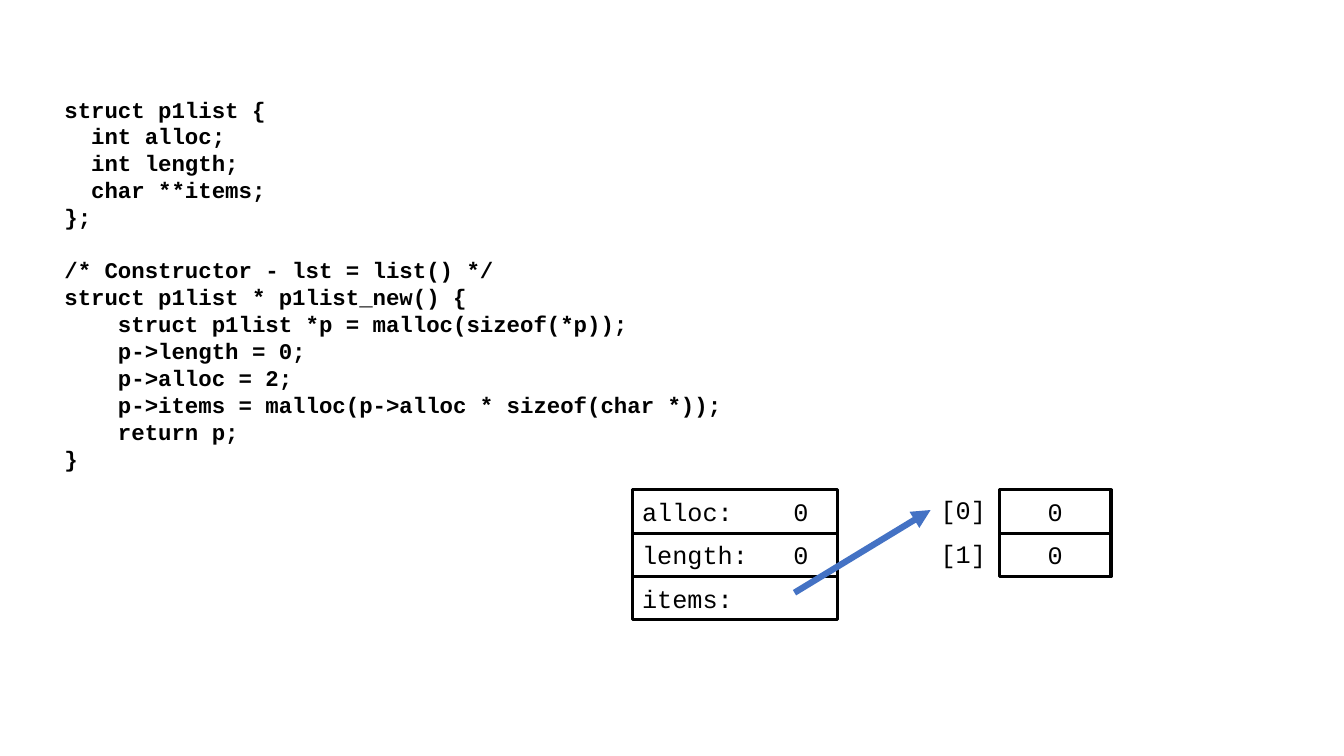
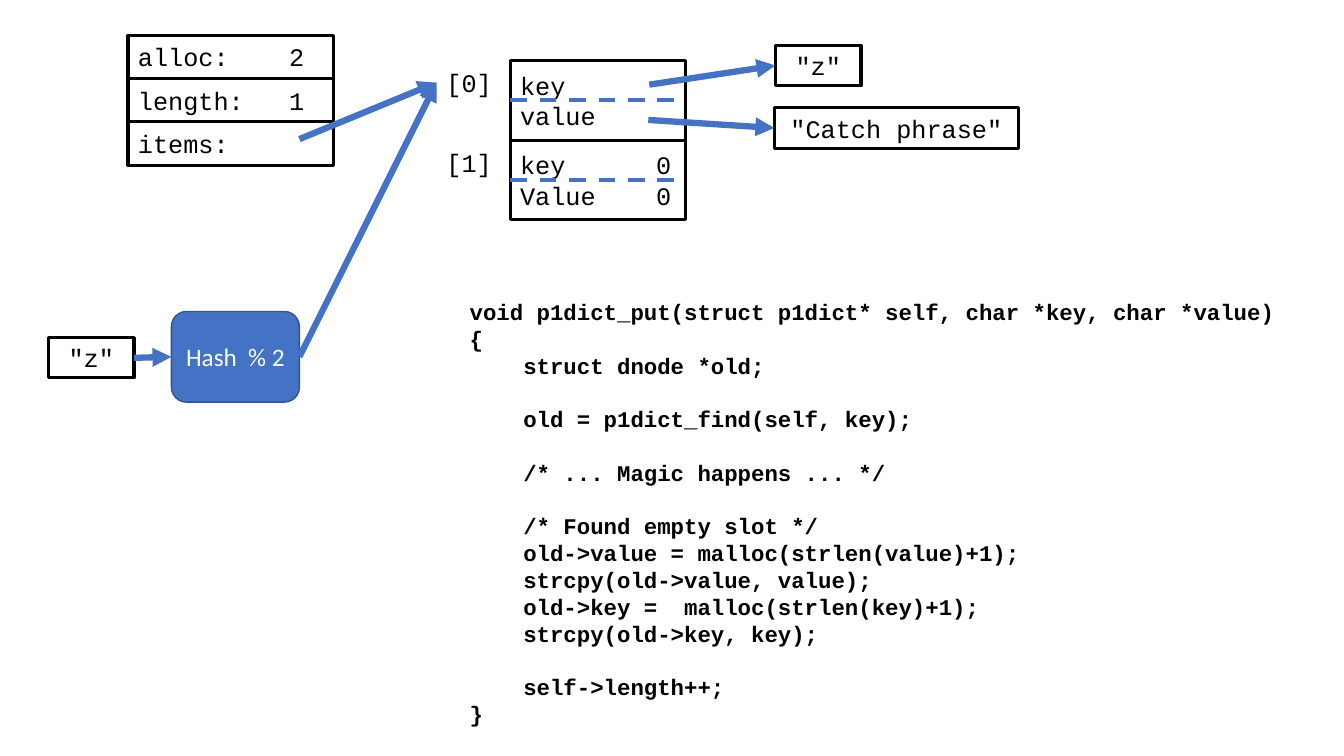
"""Build two slides on how a C list and a C dictionary are laid out in memory."""
from lxml.etree import SubElement
from pptx import Presentation
from pptx.dml.color import RGBColor
from pptx.enum.dml import MSO_LINE
from pptx.enum.shapes import MSO_CONNECTOR, MSO_SHAPE
from pptx.enum.text import MSO_ANCHOR, MSO_AUTO_SIZE, PP_ALIGN
from pptx.oxml.ns import qn
from pptx.util import Emu, Pt

PX = 9144
COLORS = {"ink": "000000", "accent": "4472C4", "edge": "325491", "white": "FFFFFF"}
MONO, SANS = "Courier New", "Calibri"
LEFT, RIGHT = 1, 3
CHAR = 15
LABEL_W, LABEL_H = 111, 40
RECORD_W, FIELD_H = 204, 43
NODE_W, NODE_H = 174, 79
CODE_SIZE, DATA_SIZE, CODE_GAP = 16, 18, 19

LIST_CODE = [
    [
        "struct p1list {",
        "  int alloc;",
        "  int length;",
        "  char **items;",
        "};",
    ],
    [
        "/* Constructor - lst = list() */",
        "struct p1list * p1list_new() {",
        "    struct p1list *p = malloc(sizeof(*p));",
        "    p->length = 0;",
        "    p->alloc = 2;",
        "    p->items = malloc(p->alloc * sizeof(char *));",
        "    return p;",
        "}",
    ],
]
PUT_CODE = [
    [
        "void p1dict_put(struct p1dict* self, char *key, char *value)",
        "{",
        "    struct dnode *old;",
    ],
    ["    old = p1dict_find(self, key);"],
    ["    /* ... Magic happens ... */"],
    [
        "    /* Found empty slot */",
        "    old->value = malloc(strlen(value)+1);",
        "    strcpy(old->value, value);",
        "    old->key =  malloc(strlen(key)+1);",
        "    strcpy(old->key, key);",
    ],
    [
        "    self->length++;",
        "}",
    ],
]
LIST_FIELDS = ["alloc:\t0", "length:\t0", "items:"]
LIST_ITEMS = ["0", "0"]
DICT_FIELDS = ["alloc:\t2", "length:\t1", "items:"]
DICT_NODES = [["key", "value"], ["key\t0", "Value\t0"]]
KEY, PHRASE, HASH = '"z"', '"Catch phrase"', "Hash  % 2"


def color(name):
    return RGBColor.from_string(COLORS[name])


def px(*lengths):
    return [Emu(length * PX) for length in lengths]


def write(paragraph, text, size, font=MONO, ink="ink", bold=False):
    run = paragraph.add_run()
    run.text = text
    run.font.size, run.font.name, run.font.bold = Pt(size), font, bold
    run.font.color.rgb = color(ink)


def fill_lines(frame, lines, align, tab=None, **style):
    for index, line in enumerate(lines):
        paragraph = frame.add_paragraph() if index else frame.paragraphs[0]
        if tab:
            stops = SubElement(paragraph._p.get_or_add_pPr(), qn("a:tabLst"))
            SubElement(stops, qn("a:tab"), pos=str(tab * PX), algn="r")
        paragraph.alignment = align
        write(paragraph, line, DATA_SIZE, **style)


def add_box(slide, at, lines, align=PP_ALIGN.CENTER, tab=None):
    box = slide.shapes.add_shape(MSO_SHAPE.RECTANGLE, *px(*at))
    box.shadow.inherit = False
    box.fill.background()
    box.line.color.rgb, box.line.width = color("ink"), Pt(2.25)
    box.text_frame.vertical_anchor = MSO_ANCHOR.MIDDLE
    fill_lines(box.text_frame, lines, align, tab)
    return box


def add_hash(slide, at):
    step = slide.shapes.add_shape(MSO_SHAPE.ROUNDED_RECTANGLE, *px(*at))
    step.shadow.inherit = False
    step.fill.solid()
    step.fill.fore_color.rgb = color("accent")
    step.line.color.rgb, step.line.width = color("edge"), Pt(1)
    step.text_frame.vertical_anchor = MSO_ANCHOR.MIDDLE
    fill_lines(step.text_frame, [HASH], PP_ALIGN.CENTER, font=SANS, ink="white")
    return step


def add_text(slide, at):
    holder = slide.shapes.add_textbox(*px(*at))
    holder.text_frame.word_wrap = True
    holder.text_frame.auto_size = MSO_AUTO_SIZE.SHAPE_TO_FIT_TEXT
    return holder


def add_label(slide, left, top, index):
    label = add_text(slide, (left, top, LABEL_W, LABEL_H))
    write(label.text_frame.paragraphs[0], f"[{index}]", DATA_SIZE)
    return label


def add_code(slide, at, blocks):
    frame = add_text(slide, at).text_frame
    paragraph = None
    for block in blocks:
        for index, line in enumerate(block):
            first = paragraph is None
            paragraph = frame.paragraphs[0] if first else frame.add_paragraph()
            if index == 0 and not first:
                paragraph.space_before = Pt(CODE_GAP)
            write(paragraph, line, CODE_SIZE, bold=True)


def add_record(slide, left, top, fields):
    for row, field in enumerate(fields):
        add_box(slide, (left, top + row * FIELD_H, RECORD_W, FIELD_H),
                [field], PP_ALIGN.LEFT, 11 * CHAR)


def add_link(slide, start, end, width=4.5, dashed=False):
    """Draw a line; each end is a point or a (shape, side) pair."""
    link = slide.shapes.add_connector(MSO_CONNECTOR.STRAIGHT, 0, 0, 0, 0)
    if isinstance(start[0], int):
        link.begin_x, link.begin_y = px(*start)
    else:
        link.begin_connect(*start)
    link.end_connect(*end)
    link.line.color.rgb, link.line.width = color("accent"), Pt(width)
    if dashed:
        link.line.dash_style = MSO_LINE.DASH
    else:
        SubElement(link.line._get_or_add_ln(), qn("a:tailEnd"), type="triangle")
    SubElement(link._element.spPr, qn("a:effectLst"))


def build_list(slide):
    top = 486
    add_code(slide, (54, 90, 818, 387), LIST_CODE)
    add_record(slide, 627, top, LIST_FIELDS)
    labels = []
    for index, item in enumerate(LIST_ITEMS):
        row_top = top + index * FIELD_H
        add_box(slide, (991, row_top, 111, FIELD_H), [item])
        labels.append(add_label(slide, 923, row_top, index))
    add_link(slide, (788, 588), (labels[0], LEFT))


def build_dict(slide):
    top = 60
    add_record(slide, 127, 35, DICT_FIELDS)
    labels = []
    for index, node in enumerate(DICT_NODES):
        row_top = top + index * NODE_H
        entry = add_box(slide, (506, row_top, NODE_W, NODE_H), node,
                        PP_ALIGN.LEFT, 10 * CHAR)
        add_link(slide, (entry, LEFT), (entry, RIGHT), width=3, dashed=True)
        labels.append(add_label(slide, 433, row_top + 2, index))

    wanted = add_box(slide, (48, 335, 85, 40), [KEY])
    hashing = add_hash(slide, (170, 309, 127, 90))
    stored_key = add_box(slide, (769, 45, 85, 40), [KEY])
    stored_value = add_box(slide, (768, 107, 242, 40), [PHRASE])
    for start, end in [
        ((wanted, RIGHT), hashing),
        ((hashing, RIGHT), labels[0]),
        ((297, 138), labels[0]),
        ((644, 84), stored_key),
        ((643, 119), stored_value),
    ]:
        add_link(slide, start, (end, LEFT))
    add_code(slide, (456, 291, 851, 468), PUT_CODE)


def main():
    deck = Presentation()
    deck.slide_width, deck.slide_height = px(1333, 750)
    for build in (build_list, build_dict):
        build(deck.slides.add_slide(deck.slide_layouts[6]))
    deck.save("out.pptx")


if __name__ == "__main__":
    main()
